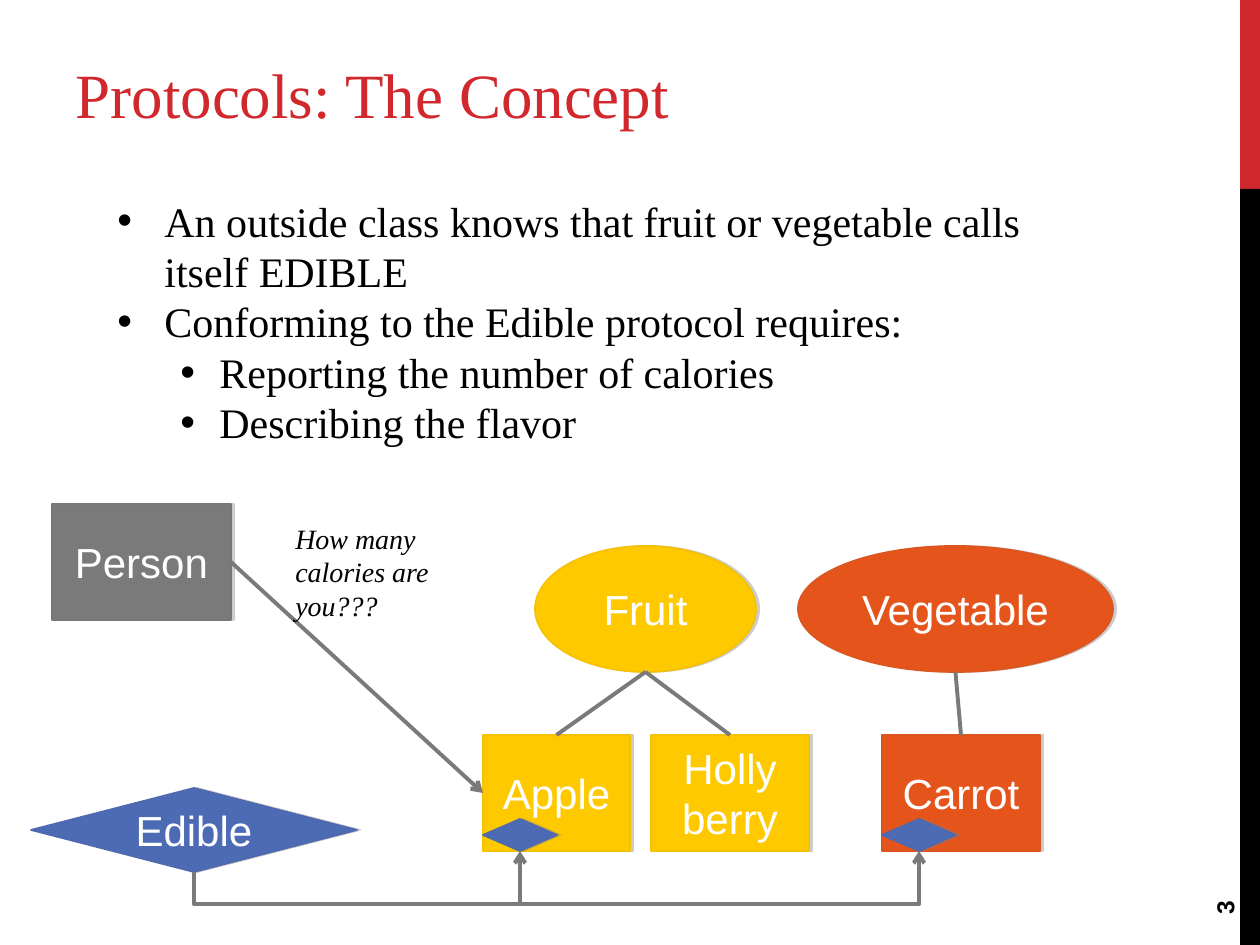
from lxml import etree
from pptx import Presentation
from pptx import util as u
from pptx.dml.color import RGBColor
from pptx.enum import shapes, text
from pptx.oxml.ns import qn

PX = 914400 / 126
SERIF, SANS = "Times New Roman", "Arial"
RED, BLACK, WHITE, GRAY = "D1282E", "000000", "FFFFFF", "7A7A7A"
YELLOW, ORANGE, BLUE = ("FFC900", "F5C100"), ("E5551B", "DC551E"), ("4D6BB5", "4E69AE")
RECT, OVAL, DIAMOND = (shapes.MSO_SHAPE.RECTANGLE, shapes.MSO_SHAPE.OVAL,
                       shapes.MSO_SHAPE.DIAMOND)

TITLE = "Protocols: The Concept"
BARS = [(0, 189, RED), (189, 756, BLACK)]
BULLETS = [
    (0, "An outside class knows that fruit or vegetable calls itself EDIBLE"),
    (0, "Conforming to the Edible protocol requires:"),
    (1, "Reporting the number of calories"),
    (1, "Describing the flavor"),
]
INDENTS = [(47, -47), (102, -39)]
QUESTION = "How many calories are you???"
NODES = [
    ("fruit", "Fruit", OVAL, (535, 546, 221, 126), YELLOW),
    ("vegetable", "Vegetable", OVAL, (798, 546, 315, 126), ORANGE),
    ("apple", "Apple", RECT, (483, 735, 147, 116), YELLOW),
    ("berry", "Holly berry", RECT, (651, 735, 158, 116), YELLOW),
    ("carrot", "Carrot", RECT, (882, 735, 158, 116), ORANGE),
    ("edible", "Edible", DIAMOND, (31, 788, 326, 84), BLUE),
    ("carrot badge", "", DIAMOND, (882, 819, 74, 32), BLUE),
    ("apple badge", "", DIAMOND, (483, 819, 74, 32), BLUE),
    ("person", "Person", RECT, (52, 504, 179, 116), (GRAY, "777777")),
]
CONFORMING = ["apple badge", "carrot badge"]
MEMBERS = [("fruit", "apple"), ("fruit", "berry"), ("vegetable", "carrot")]
DROP = 32


def px(value):
    return u.Emu(round(value * PX))


def color(value):
    return RGBColor.from_string(value)


def style(paragraph, size, name, fill, bold=False, italic=False):
    font = paragraph.font
    font.size, font.name, font.bold, font.italic = u.Pt(size), name, bold, italic
    font.color.rgb = color(fill)


def add_text(slide, box, lines, size, name, **emphasis):
    shape = slide.shapes.add_textbox(*map(px, box))
    frame = shape.text_frame
    frame.word_wrap = True
    frame.text = "\n".join(lines)
    for paragraph in frame.paragraphs:
        style(paragraph, size, name, BLACK, **emphasis)
    return shape


def add_bullet(paragraph, level):
    paragraph.level = level
    margin, indent = INDENTS[level]
    properties = paragraph._p.get_or_add_pPr()
    properties.set("marL", str(px(margin)))
    properties.set("indent", str(px(indent)))
    etree.SubElement(properties, qn("a:buFont")).set("typeface", SANS)
    etree.SubElement(properties, qn("a:buChar")).set("char", "•")


def add_shadow(shape):
    effects = shape._element.spPr.find(qn("a:effectLst"))
    shadow = etree.SubElement(effects, qn("a:outerShdw"), dist=str(u.Pt(1.8)), dir="0")
    tint = etree.SubElement(shadow, qn("a:srgbClr"), val="808080")
    etree.SubElement(tint, qn("a:alpha"), val="40000")


def add_node(slide, label, kind, box, colors):
    shape = slide.shapes.add_shape(kind, *map(px, box))
    shape.shadow.inherit = False
    add_shadow(shape)
    fill, line = colors
    shape.fill.solid()
    shape.fill.fore_color.rgb = color(fill)
    shape.line.color.rgb = color(line)
    shape.line.width = u.Pt(1)
    if label:
        frame = shape.text_frame
        frame.text = label
        frame.word_wrap = True
        frame.vertical_anchor = text.MSO_ANCHOR.MIDDLE
        paragraph = frame.paragraphs[0]
        paragraph.alignment = text.PP_ALIGN.CENTER
        style(paragraph, 24, SANS, WHITE)
    return shape


def add_line(slide, kind, begin, end, arrow=False):
    connector = slide.shapes.add_connector(kind, *begin, *end)
    connector.line.color.rgb = color(GRAY)
    connector.line.width = u.Pt(2.25)
    if arrow:
        etree.SubElement(connector.line._get_or_add_ln(), qn("a:tailEnd"), type="arrow")
    etree.SubElement(connector._element.spPr, qn("a:effectLst"))
    return connector


def bottom(shape):
    return shape.left + shape.width // 2, shape.top + shape.height


def add_elbow(slide, source, target):
    (x1, y1), (x2, y2) = bottom(source), bottom(target)
    middle_x, middle_y = (x1 + x2) // 2, (y1 + y2) // 2
    half_rise, half_run = (y1 - y2) // 2, (x2 - x1) // 2
    connector = add_line(slide, shapes.MSO_CONNECTOR.ELBOW,
                         (middle_x + half_rise, middle_y + half_run),
                         (middle_x - half_rise, middle_y - half_run), arrow=True)
    properties = connector._element.spPr
    properties.find(qn("a:xfrm")).set("rot", "5400000")
    geometry = properties.find(qn("a:prstGeom"))
    adjustments = geometry.find(qn("a:avLst"))
    if adjustments is None:
        adjustments = etree.SubElement(geometry, qn("a:avLst"))
    ratio = round(-100000 * px(DROP) / (y1 - y2))
    etree.SubElement(adjustments, qn("a:gd"), name="adj1", fmla=f"val {ratio}")


def main():
    presentation = Presentation()
    presentation.slide_width, presentation.slide_height = px(1260), px(945)
    slide = presentation.slides.add_slide(presentation.slide_layouts[5])

    title = slide.shapes.title
    title.left, title.top, title.width, title.height = map(px, (63, 21, 1102, 116))
    frame = title.text_frame
    frame.text = TITLE
    frame.auto_size = text.MSO_AUTO_SIZE.NONE
    frame.vertical_anchor = text.MSO_ANCHOR.BOTTOM
    frame.paragraphs[0].alignment = text.PP_ALIGN.LEFT
    style(frame.paragraphs[0], 36, SERIF, RED)

    for top, height, fill in BARS:
        bar = slide.shapes.add_shape(RECT, *map(px, (1240, top, 20, height)))
        bar.shadow.inherit = False
        bar.fill.solid()
        bar.fill.fore_color.rgb = color(fill)
        bar.line.fill.background()

    number = add_text(slide, (1134, 811, 181, 51), ["3"], 14, SANS, bold=True)
    number.rotation = 270
    number.text_frame.vertical_anchor = text.MSO_ANCHOR.MIDDLE

    body = add_text(slide, (105, 189, 987, 265), [line for _, line in BULLETS], 24, SERIF)
    for paragraph, (level, _) in zip(body.text_frame.paragraphs, BULLETS):
        add_bullet(paragraph, level)

    nodes = {name: add_node(slide, *details) for name, *details in NODES}
    for target in CONFORMING:
        add_elbow(slide, nodes["edible"], nodes[target])
    straight = shapes.MSO_CONNECTOR.STRAIGHT
    for group, member in MEMBERS:
        start = bottom(nodes[group])
        add_line(slide, straight, start, start).end_connect(nodes[member], 0)
    arrow = add_line(slide, straight, (0, 0), (0, 0), arrow=True)
    arrow.begin_connect(nodes["person"], 3)
    arrow.end_connect(nodes["apple"], 1)

    add_text(slide, (283, 515, 179, 113), [QUESTION], 16, SERIF, italic=True)
    presentation.save("out.pptx")


if __name__ == "__main__":
    main()
